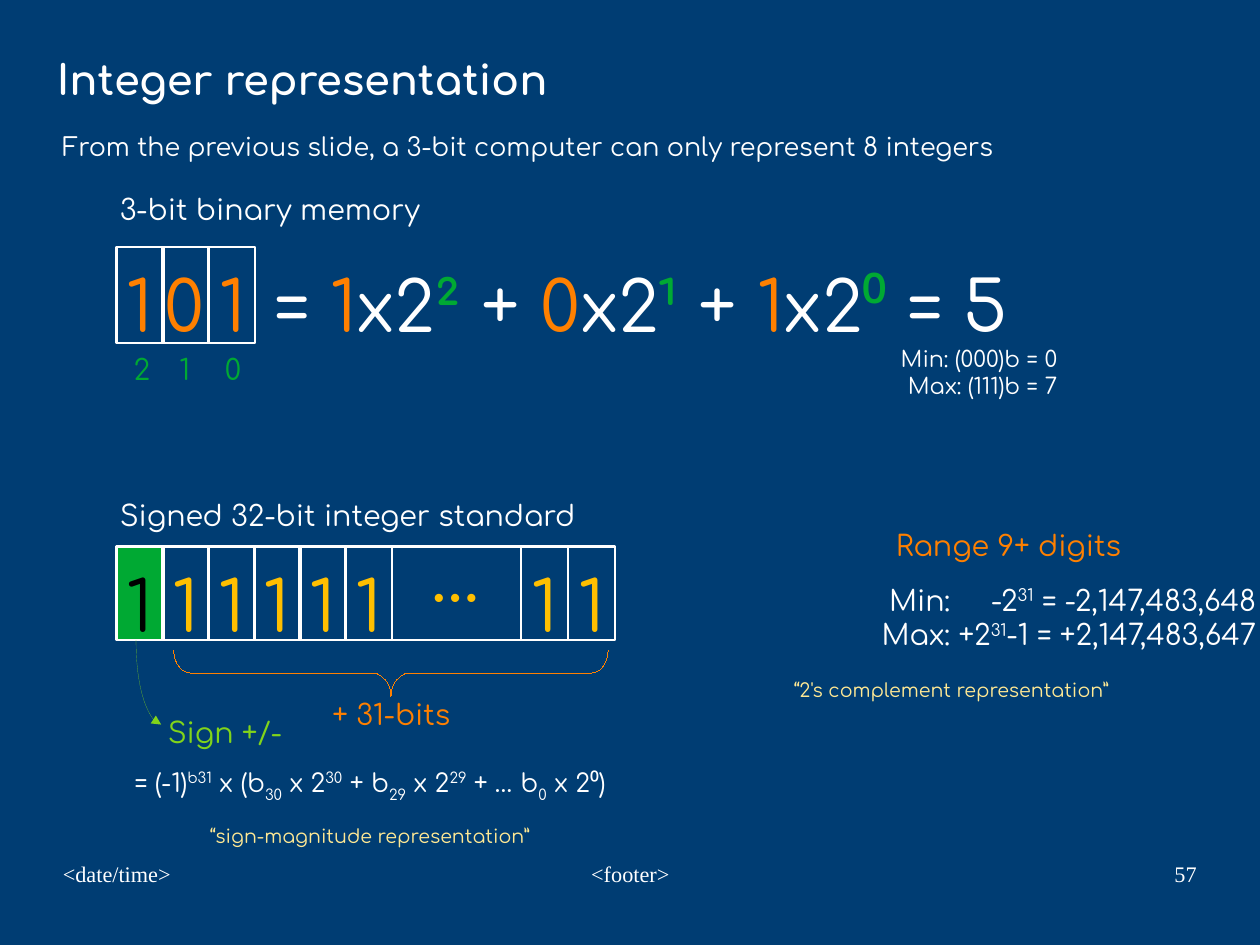
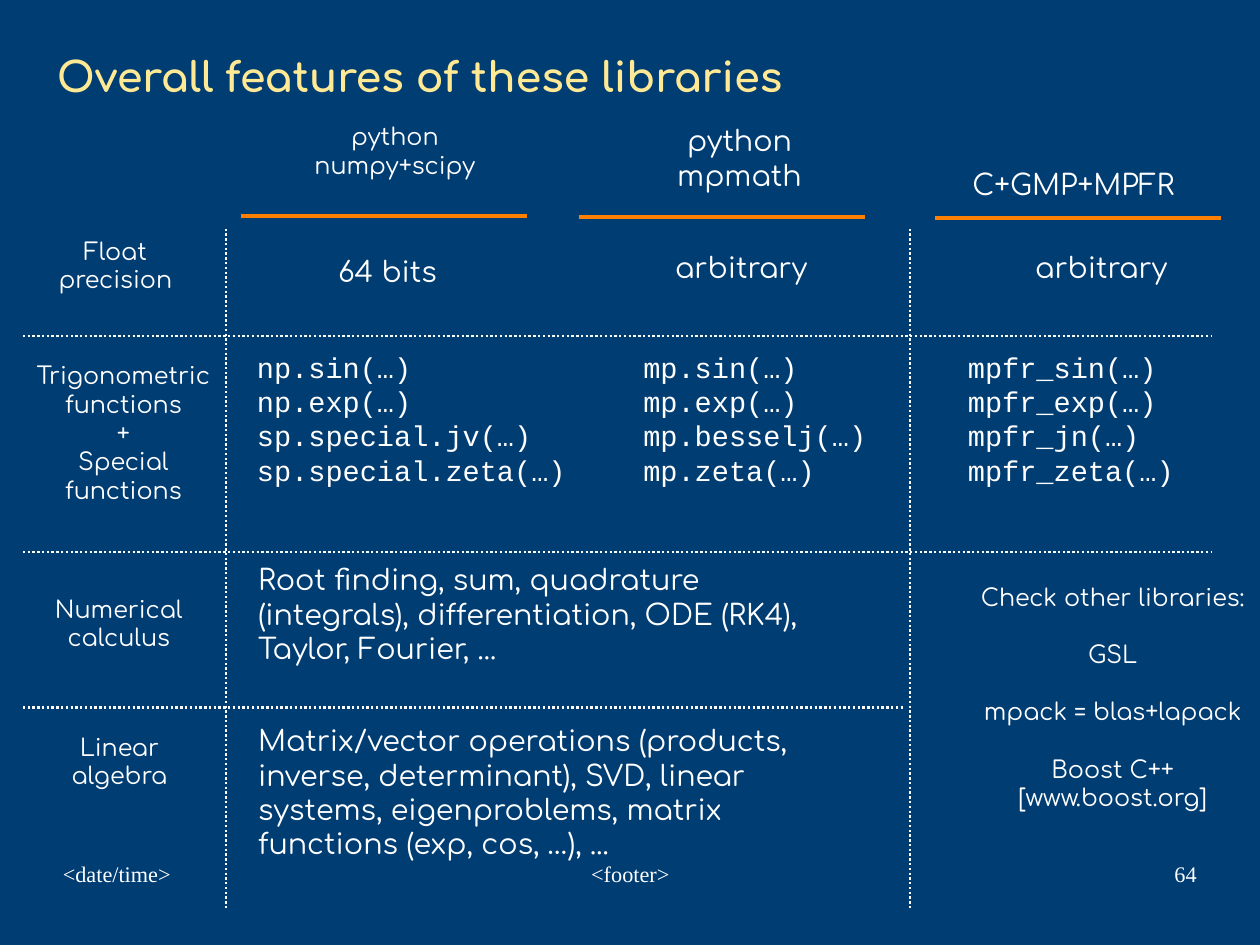
import pptx
import pptx.util
import pptx.dml.color
import pptx.enum.dml
import pptx.enum.shapes
import pptx.enum.text
import pptx.oxml.ns
import lxml.etree

Inches, Pt, Cm = pptx.util.Inches, pptx.util.Pt, pptx.util.Cm
SHAPE = pptx.enum.shapes.MSO_SHAPE
LINK = pptx.enum.shapes.MSO_CONNECTOR
ALIGN = pptx.enum.text.PP_ALIGN
FIT = pptx.enum.text.MSO_AUTO_SIZE
qn = pptx.oxml.ns.qn

# Shared look
NAVY, WHITE, BLACK = "003D73", "FFFFFF", "000000"
ORANGE, GREEN, LIME = "FF8000", "00A933", "81D41A"
GOLD, CREAM = "FFBF00", "FFE994"
SANS, MONO, SERIF = "Comfortaa", "Courier New", "Times New Roman"
LEFT, MID, RIGHT = ALIGN.LEFT, ALIGN.CENTER, ALIGN.RIGHT
HAIR = 0.01  # thinnest line; a width of 0 would fall back to the theme


def rgb(code):
    return pptx.dml.color.RGBColor.from_string(code)


# Runs: (text, colour, baseline in percent)
def tint(words, color):
    return words, color, 0


def up(words):
    return words, None, 33


def down(words):
    return words, None, -33


def text(slide, x, y, w, h, paras, size=18, color=WHITE, font=SANS, bold=None,
         align=LEFT, wrap=False, gap=0, pad=True):
    """Each paragraph is a string or a list of strings and runs."""
    box = slide.shapes.add_textbox(Inches(x), Inches(y), Inches(w), Inches(h))
    frame = box.text_frame
    frame.word_wrap = wrap
    if pad:
        frame.auto_size = FIT.SHAPE_TO_FIT_TEXT
    else:
        frame.margin_left = frame.margin_right = 0
        frame.margin_top = frame.margin_bottom = 0
    for i, para in enumerate(paras):
        p = frame.paragraphs[0] if i == 0 else frame.add_paragraph()
        p.alignment = align
        if i and gap:
            p.space_before = Pt(gap)
        p.font.name, p.font.size, p.font.bold = font, Pt(size), bold
        p.font.color.rgb = rgb(color)
        if isinstance(para, str):
            p.text = para
            continue
        for part in para:
            words, hue, base = (part, None, 0) if isinstance(part, str) else part
            run = p.add_run()
            run.text = words
            if hue:
                run.font.color.rgb = rgb(hue)
            if base:
                run._r.get_or_add_rPr().set("baseline", str(base * 1000))


def cell(slide, x, y, w, h, fill=None):
    box = slide.shapes.add_shape(SHAPE.RECTANGLE, Inches(x), Inches(y), Inches(w), Inches(h))
    box.shadow.inherit = False
    if fill:
        box.fill.solid()
        box.fill.fore_color.rgb = rgb(fill)
    else:
        box.fill.background()
    box.line.color.rgb = rgb(WHITE)
    box.line.width = Pt(1.5)


def line(slide, x1, y1, x2, y2, color, width, dots=False, kind=LINK.STRAIGHT):
    link = slide.shapes.add_connector(kind, Inches(x1), Inches(y1), Inches(x2), Inches(y2))
    link.line.color.rgb = rgb(color)
    link.line.width = Pt(width)
    if dots:
        link.line.dash_style = pptx.enum.dml.MSO_LINE.ROUND_DOT
    lxml.etree.SubElement(link._element.spPr, qn("a:effectLst"))
    return link


def bend(slide, x1, y1, x2, y2, color):
    """Quarter-turn arrow, stored as a turned connector."""
    link = line(slide, x1, y1, x2, y2, color, HAIR, kind=LINK.CURVE)
    props = link._element.spPr
    props.find(qn("a:prstGeom")).set("prst", "curvedConnector2")
    props.find(qn("a:xfrm")).set("rot", str(270 * 60000))
    lxml.etree.SubElement(props.find(qn("a:ln")), qn("a:tailEnd"), type="triangle")


def brace(slide, x, y, w, h, color):
    mark = slide.shapes.add_shape(SHAPE.RIGHT_BRACE, Inches(x), Inches(y), Inches(w), Inches(h))
    mark.rotation = 90
    mark.adjustments[0] = 0.4
    mark.shadow.inherit = False
    mark.fill.background()
    mark.line.color.rgb = rgb(color)
    mark.line.width = Pt(HAIR)


def page(deck, number, title, y, color):
    """New slide with its footers and title."""
    slide = deck.slides.add_slide(deck.slide_layouts[6])
    for x, w, words, align in ((0.55, 2.57, "<date/time>", LEFT),
                               (3.77, 3.49, "<footer>", MID),
                               (7.9, 2.57, number, RIGHT)):
        text(slide, x, 7.53, w, 0.57, [words], 14, font=SERIF, align=align,
             wrap=True, pad=False)
    text(slide, 0.4, y, 10.1, 0.67, [title], 26, color, bold=True, wrap=True)
    return slide


def bits(deck):
    slide = page(deck, "57", "Integer representation", 0.43, WHITE)
    text(slide, 0.45, 1.1, 11.15, 0.46,
         ["From the previous slide, a 3-bit computer can only represent 8 integers"], 16)

    # Three-bit memory
    start, step, wide = 1.02, 0.4, 0.41
    text(slide, 0.95, 1.63, 3.77, 0.5, ["3-bit binary memory"])
    sum3 = ["= "]
    for i, (bit, power, mark, shift) in enumerate((("1", "²", "2", -0.01),
                                                   ("0", "¹", "1", -0.08),
                                                   ("1", "⁰", "0", 0))):
        x = start + step * i
        text(slide, x + shift, 2.25, 0.6, 1.04, [bit], 44, ORANGE)
        cell(slide, x, 2.16, wide, 0.84)
        text(slide, x + 0.05, 3.03, 0.45, 0.5, [mark], color=GREEN)
        sum3 += [tint(bit, ORANGE), "x2", tint(power, GREEN), " = 5" if i == 2 else " + "]
    text(slide, 2.3, 2.25, 8.87, 1.04, [sum3], 44)
    text(slide, 7.26, 2.97, 2.09, 0.71, ["Min: (000)b = 0", "Max: (111)b = 7"], 14, align=RIGHT)

    # Signed 32-bit integer
    text(slide, 0.95, 4.31, 5.59, 0.5, ["Signed 32-bit integer standard"])
    cell(slide, 3.43, 4.78, 1.13, 0.82)
    text(slide, 3.69, 4.61, 0.84, 1.04, ["…"], 44, GOLD)
    for i, x in enumerate([start + step * n for n in range(6)] + [4.56, 4.97]):
        cell(slide, x, 4.78, wide, 0.82, None if i else GREEN)
        text(slide, x - 0.01, 4.87, 0.57, 1.04, ["1"], 44, GOLD if i else BLACK)
    bend(slide, 1.67, 5.86, 0.93, 6.08, LIME)
    text(slide, 1.37, 6.21, 1.6, 0.5, ["Sign +/-"], color=LIME)
    brace(slide, 3.22, 3.99, 0.4, 3.8, ORANGE)
    text(slide, 2.81, 6.05, 1.64, 0.5, ["+ 31-bits"], color=ORANGE)
    text(slide, 1.08, 6.66, 5.77, 0.53,
         [["= (-1)", up("b31"), " x (b", down("30"), " x 2", up("30"), " + b", down("29"),
           " x 2", up("29"), " + … b", down("0"), " x 2⁰)"]], 16)
    text(slide, 1.74, 7.16, 4.01, 0.38, ["“sign-magnitude representation”"], 12, CREAM)

    # Range
    text(slide, 7.74, 4.57, 2.89, 0.5, ["Range 9+ digits"], color=ORANGE)
    text(slide, 7.68, 5.05, 0.8, 0.5, ["Min:"])
    text(slide, 6.46, 5.05, 4.63, 0.87,
         [["-2", up("31"), " = -2,147,483,648"],
          ["Max: +2", up("31"), "-1 = +2,147,483,647"]], align=RIGHT)
    text(slide, 6.85, 5.89, 3.94, 0.38, ["“2's complement representation”"], 12, CREAM)


def tools(deck):
    slide = page(deck, "64", "Overall features of these libraries", 0.4, CREAM)

    # Column heads
    text(slide, 2.39, 1.02, 2.13, 0.87, ["python", "numpy+scipy"], 15, align=MID)
    text(slide, 5.61, 1.03, 1.72, 0.87, ["python", "mpmath"], align=MID)
    text(slide, 8.41, 1.41, 2.62, 0.5, ["C+GMP+MPFR"])
    for x, y in ((2.11, 1.89), (5.07, 1.9), (8.18, 1.91)):
        line(slide, x, y, x + 2.5, y, ORANGE, 2.3)

    # Dotted grid
    for x in (1.98, 7.96):
        line(slide, x, 2, x, 7.94, WHITE, 1.5, True)
    for y, end in ((2.94, 10.6), (4.83, 10.6), (6.19, 7.9)):
        line(slide, 0.2, y, end, y, WHITE, 1.5, True)

    # Row heads
    for x, y, w, h, paras in (
            (0.41, 2.02, 1.2, 0.75, ["Float precision"]),
            (0.18, 3.11, 1.8, 1.68, ["Trigonometric functions", "+", "Special functions"]),
            (0.34, 5.15, 1.4, 0.77, ["Numerical calculus"]),
            (0.49, 6.36, 1.11, 0.77, ["Linear algebra"])):
        text(slide, x, y, w, h, paras, 15, align=MID, wrap=True)

    # Precision
    text(slide, 2.86, 2.17, 1.41, 0.5, ["64 bits"])
    for x in (5.58, 8.73):
        text(slide, x, 2.14, 1.81, 0.5, ["arbitrary"], align=MID)

    # Functions
    for x, w, calls in (
            (2.15, 3.86, ["np.sin(…)", "np.exp(…)", "sp.special.jv(…)", "sp.special.zeta(…)"]),
            (5.53, 2.86, ["mp.sin(…)", "mp.exp(…)", "mp.besselj(…)", "mp.zeta(…)"]),
            (8.37, 2.66, ["mpfr_sin(…)", "mpfr_exp(…)", "mpfr_jn(…)", "mpfr_zeta(…)"])):
        text(slide, x, 3.01, w, 1.68, calls, font=MONO)

    # Calculus, algebra and other libraries
    text(slide, 2.16, 4.87, 5.19, 1.25,
         ["Root finding, sum, quadrature (integrals), differentiation, ODE (RK4), "
          "Taylor, Fourier, ..."], wrap=True)
    text(slide, 2.16, 6.28, 5.44, 1.62,
         ["Matrix/vector operations (products, inverse, determinant), SVD, linear systems, "
          "eigenproblems, matrix functions (exp, cos, …), ..."], wrap=True)
    text(slide, 8.06, 5.05, 3.35, 2.61,
         ["Check other libraries:", "GSL", "mpack = blas+lapack", "Boost C++\v[www.boost.org]"],
         15, align=MID, gap=18)


def main():
    deck = pptx.Presentation()
    deck.slide_width, deck.slide_height = Cm(28), Cm(21)
    fill = deck.slide_master.background.fill
    fill.solid()
    fill.fore_color.rgb = rgb(NAVY)
    bits(deck)
    tools(deck)
    deck.save("out.pptx")


if __name__ == "__main__":
    main()
